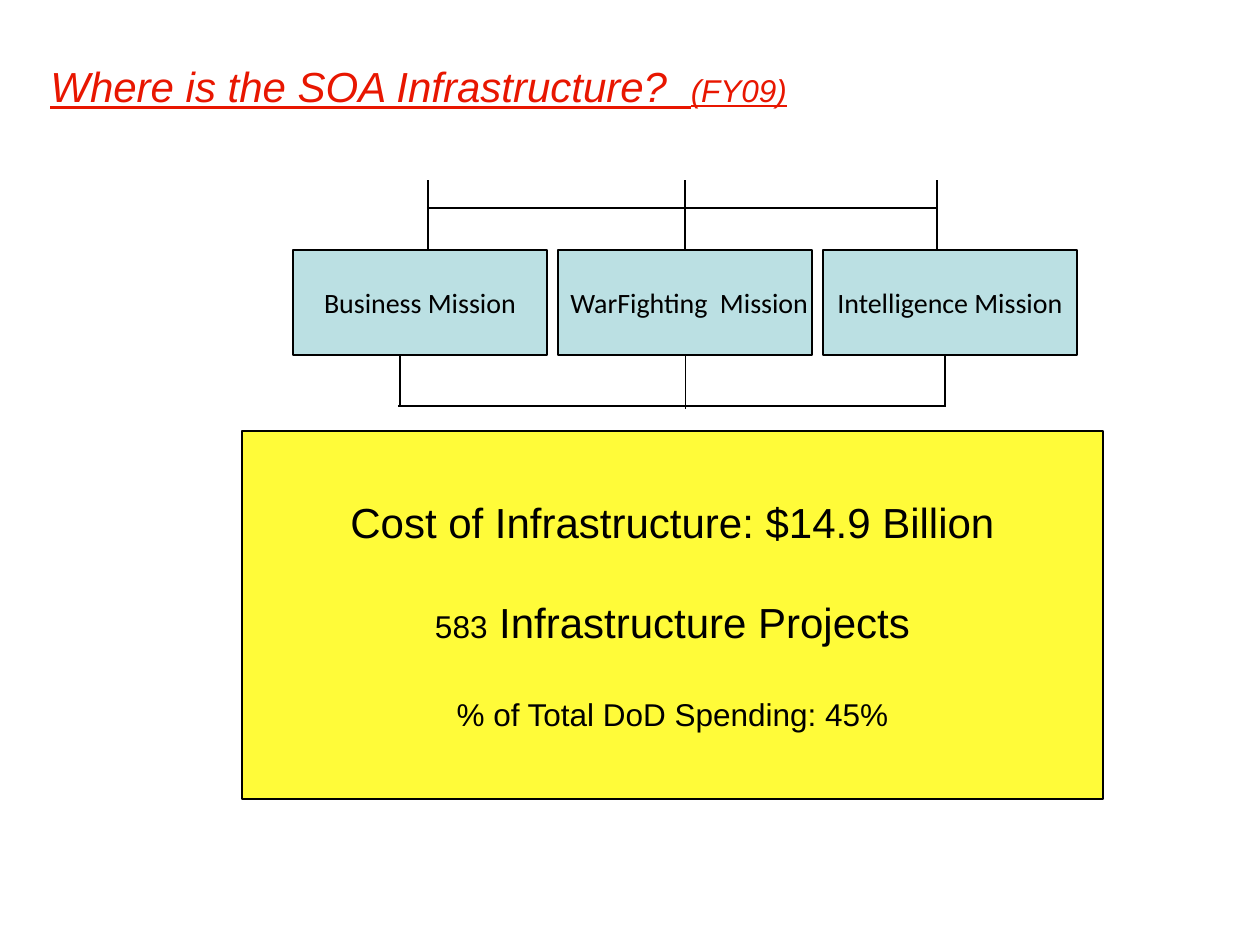
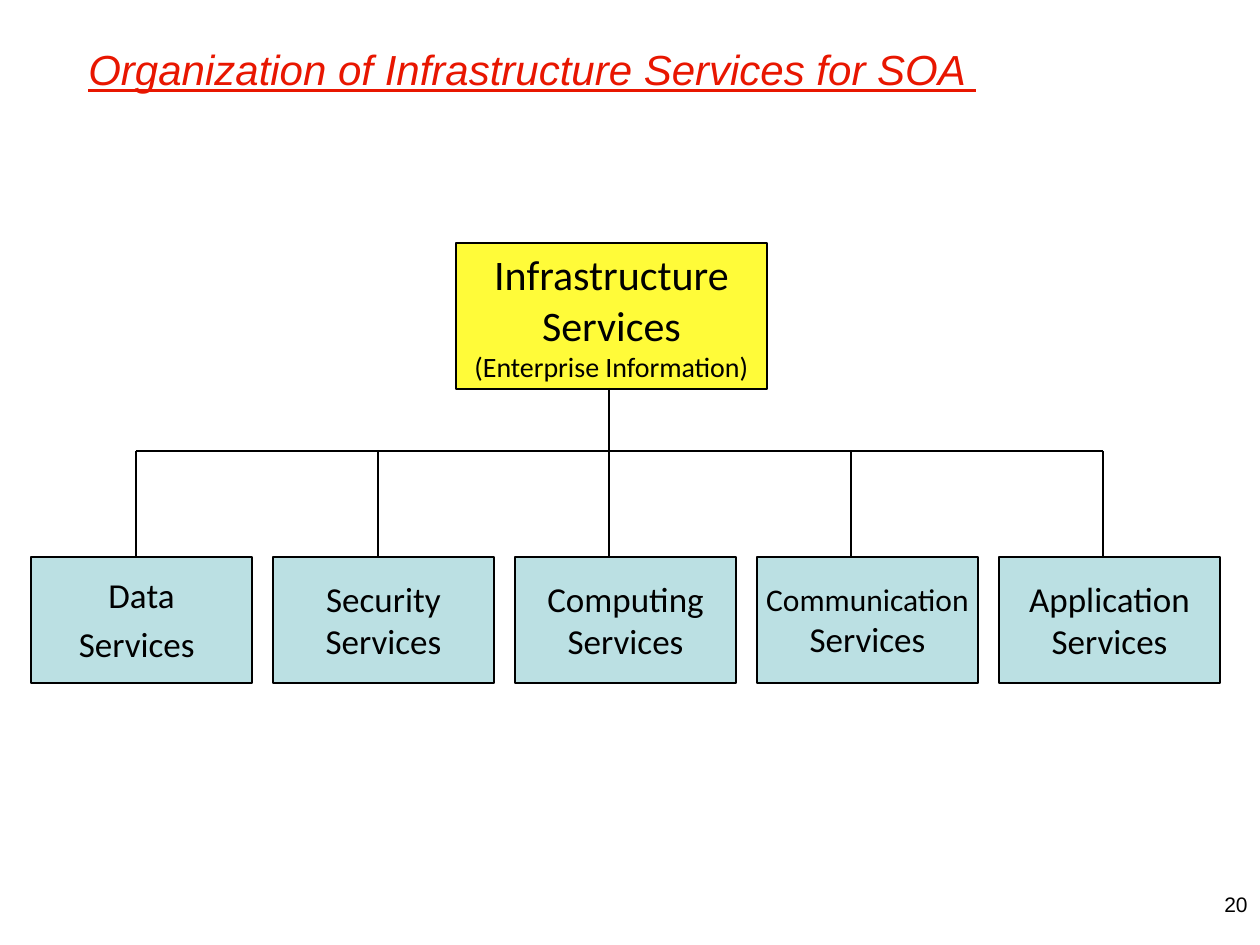
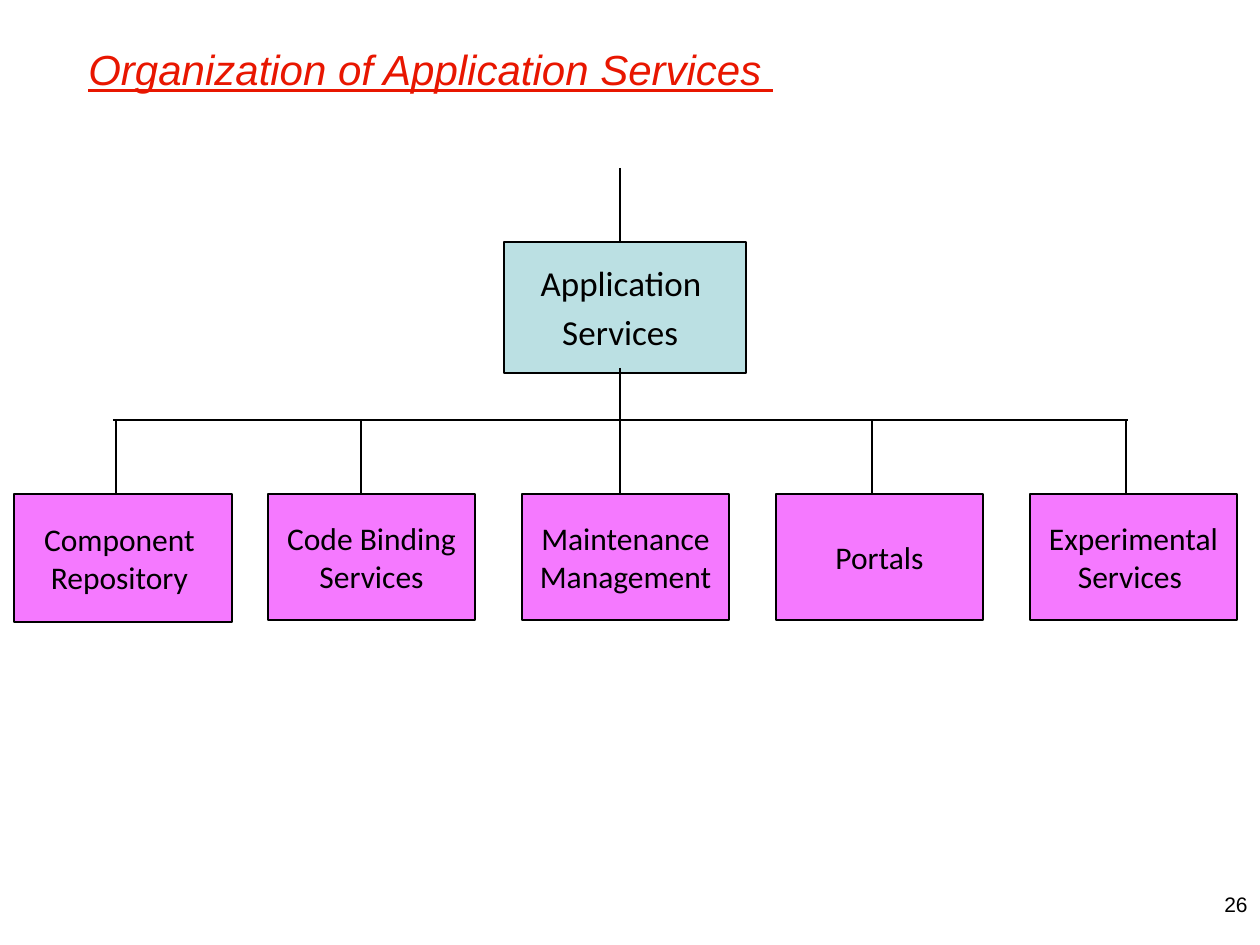
from lxml.etree import SubElement
from pptx import Presentation
from pptx.dml.color import RGBColor
from pptx.enum.shapes import MSO_CONNECTOR as Connector, MSO_SHAPE as Shape
from pptx.enum.text import MSO_ANCHOR as Anchor, PP_ALIGN as Align
from pptx.oxml.ns import qn
from pptx.util import Pt

PX = 914400 / 126
BLACK, RED, YELLOW, BLUE, PINK = "000000", "E81600", "FFFB39", "BBE0E3", "F579FF"
TOP, BOTTOM = 0, 2

MISSIONS = [
    ("Business Mission", Align.CENTER),
    ("WarFighting  Mission", Align.LEFT),
    ("Intelligence Mission", Align.CENTER),
]
MISSION_TITLE = [("Where is the SOA Infrastructure?  ", 24), ("(FY09)", 18)]
COSTS = [
    [("Cost of Infrastructure: $14.9 Billion", 24)],
    [("583", 18), (" Infrastructure Projects", 24)],
    [("% of Total DoD Spending: 45%", 18)],
]

CHARTS = [
    {
        "title": "Organization of Infrastructure Services for SOA ",
        "number": "20",
        "root": [[("Infrastructure", 24)], [("Services", 24)], [("(Enterprise Information)", 16)]],
        "root_area": (456, 243, 311, 146),
        "root_fill": YELLOW,
        "children": [
            [[("Data", 20)], [("Services", 20), (" ", 24)]],
            [[("Security", 20)], [("Services", 20)]],
            [[("Computing", 20)], [("Services", 20)]],
            [[("Communication", 18)], [("Services", 20)]],
            [[("Application", 20)], [("Services", 20)]],
        ],
        "child_fill": BLUE,
        "child_start": (31, 557),
        "child_step": 242,
        "child_sizes": [(221, 126)] * 5,
        "bus": (136, 1103, 451),
        "drops": [136, 378, 851, 1103],
        "trunks": [(609, 388, 557)],
    },
    {
        "title": "Organization of Application Services ",
        "number": "26",
        "root": [[("Application ", 20)], [("Services", 20), (" ", 24)]],
        "root_area": (504, 242, 242, 131),
        "root_fill": BLUE,
        "children": [
            [[("Component ", 18)], [("Repository ", 18)]],
            [[("Code Binding", 18)], [("Services", 18)]],
            [[("Maintenance", 18)], [("Management", 18)]],
            [[("Portals", 18)]],
            [[("Experimental", 18)], [("Services ", 18)]],
        ],
        "child_fill": PINK,
        "child_start": (14, 494),
        "child_step": 254,
        "child_sizes": [(218, 128)] + [(207, 126)] * 4,
        "bus": (113, 1128, 420),
        "drops": [116, 361, 872, 1126],
        "trunks": [(620, 168, 242), (620, 368, 494)],
    },
]


def px(*lengths):
    return [round(length * PX) for length in lengths]


def color(value):
    return RGBColor.from_string(value)


def write(frame, paragraphs, font="Calibri", ink=BLACK, align=Align.CENTER, gap=0, title=False):
    for index, spans in enumerate(paragraphs):
        para = frame.add_paragraph() if index else frame.paragraphs[0]
        para.alignment = align
        if index and gap:
            para.space_before = Pt(gap)
        for text, size in spans:
            span = para.add_run()
            span.text = text
            span.font.name = font
            span.font.size = Pt(size)
            span.font.color.rgb = color(ink)
            if title:
                span.font.italic = span.font.underline = True


def add_text(page, area, spans, anchor=Anchor.TOP, **style):
    frame = page.shapes.add_textbox(*px(*area)).text_frame
    frame.word_wrap = True
    frame.vertical_anchor = anchor
    write(frame, [spans], font="Arial", **style)


def add_title(page, area, spans):
    add_text(page, area, spans, Anchor.MIDDLE, ink=RED, align=Align.LEFT, title=True)


def add_box(page, area, fill, paragraphs, **style):
    box = page.shapes.add_shape(Shape.RECTANGLE, *px(*area))
    box.shadow.inherit = False
    box.fill.solid()
    box.fill.fore_color.rgb = color(fill)
    box.line.color.rgb = color(BLACK)
    box.line.width = Pt(0.75)
    box.text_frame.word_wrap = False
    box.text_frame.vertical_anchor = Anchor.MIDDLE
    write(box.text_frame, paragraphs, **style)
    return box


def add_line(page, x1, y1, x2, y2, width=0.75):
    line = page.shapes.add_connector(Connector.STRAIGHT, *px(x1, y1, x2, y2))
    line.line.color.rgb = color(BLACK)
    line.line.width = Pt(width)
    SubElement(line._element.spPr, qn("a:effectLst"))
    return line


def build_missions(page):
    add_title(page, (38, 32, 1142, 108), MISSION_TITLE)
    add_box(page, (242, 431, 861, 368), YELLOW, COSTS, font="Arial", gap=28)
    boxes = [
        add_box(page, (293 + 265 * index, 250, 254, 105), BLUE, [[(name, 16)]], align=align)
        for index, (name, align) in enumerate(MISSIONS)
    ]
    add_line(page, 398, 406, 946, 406)
    add_line(page, 427, 208, 937, 208)
    for x in (400, 945):
        add_line(page, x, 355, x, 406)
    for x in (428, 937):
        add_line(page, x, 250, x, 180)
    for site, start, end, width in ((TOP, 250, 180, 0.75), (BOTTOM, 355, 409, 0.5)):
        add_line(page, 685, start, 685, end, width).begin_connect(boxes[1], site)


def build_chart(page, chart):
    add_title(page, (76, 28, 1046, 82), [(chart["title"], 24)])
    add_text(page, (966, 885, 294, 45), [(chart["number"], 12)], align=Align.RIGHT)
    add_box(page, chart["root_area"], chart["root_fill"], chart["root"])
    left, top = chart["child_start"]
    for index, (paragraphs, size) in enumerate(zip(chart["children"], chart["child_sizes"])):
        area = (left + index * chart["child_step"], top, *size)
        add_box(page, area, chart["child_fill"], paragraphs)
    bus_left, bus_right, bus_y = chart["bus"]
    add_line(page, bus_left, bus_y, bus_right, bus_y)
    for x in chart["drops"]:
        add_line(page, x, bus_y, x, top)
    for x, start, end in chart["trunks"]:
        add_line(page, x, start, x, end)


def main():
    deck = Presentation()
    deck.slide_width, deck.slide_height = px(1260, 945)
    blank = deck.slide_layouts[6]
    build_missions(deck.slides.add_slide(blank))
    for chart in CHARTS:
        build_chart(deck.slides.add_slide(blank), chart)
    deck.save("out.pptx")


if __name__ == "__main__":
    main()
